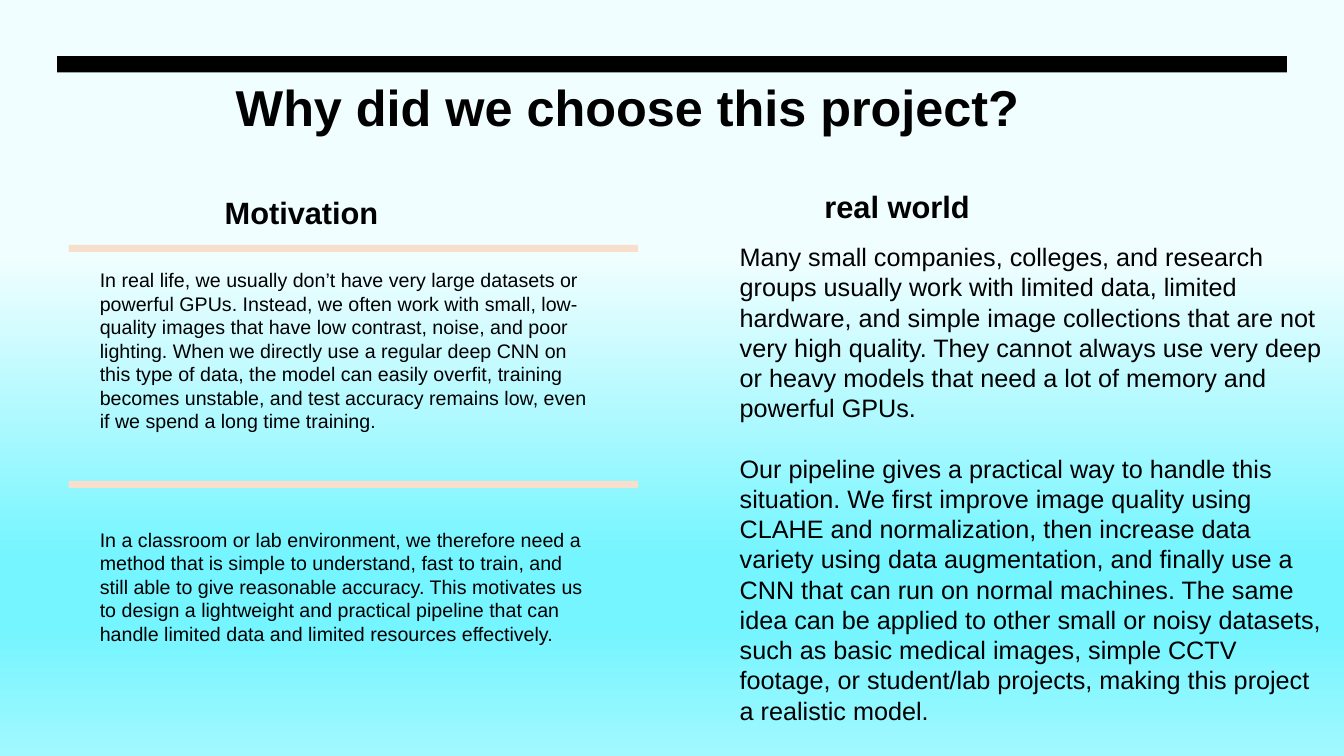
from dataclasses import dataclass

from lxml import etree
from pptx import Presentation
from pptx.dml.color import RGBColor
from pptx.enum.shapes import MSO_SHAPE
from pptx.enum.text import MSO_ANCHOR
from pptx.oxml.ns import qn
from pptx.util import Pt

RECTANGLE = MSO_SHAPE.RECTANGLE
ROUNDED = MSO_SHAPE.ROUNDED_RECTANGLE
TOP, MIDDLE, BOTTOM = MSO_ANCHOR.TOP, MSO_ANCHOR.MIDDLE, MSO_ANCHOR.BOTTOM


@dataclass(frozen=True)
class Theme:
    font: str = "Arial"
    ink: str = "000000"
    rule: str = "F7DFCC"
    background: tuple = ((34, "F0FEFF"), (74, "74F5FF"), (83, "74F5FF"), (100, "A2F8FF"))
    title: int = 36
    heading: int = 22
    body: int = 18
    small: int = 14


THEME = Theme()

MOTIVATION = (
    "In real life, we usually don’t have very large datasets or powerful GPUs. "
    "Instead, we often work with small, low-quality images that have low contrast, "
    "noise, and poor lighting. When we directly use a regular deep CNN on this type "
    "of data, the model can easily overfit, training becomes unstable, and test "
    "accuracy remains low, even if we spend a long time training.",
    "In a classroom or lab environment, we therefore need a method that is simple to "
    "understand, fast to train, and still able to give reasonable accuracy. This "
    "motivates us to design a lightweight and practical pipeline that can handle "
    "limited data and limited resources effectively.",
)
REAL_WORLD = (
    "Many small companies, colleges, and research groups usually work with limited "
    "data, limited hardware, and simple image collections that are not very high "
    "quality. They cannot always use very deep or heavy models that need a lot of "
    "memory and powerful GPUs.",
    "Our pipeline gives a practical way to handle this situation. We first improve "
    "image quality using CLAHE and normalization, then increase data variety using "
    "data augmentation, and finally use a CNN that can run on normal machines. The "
    "same idea can be applied to other small or noisy datasets, such as basic medical "
    "images, simple CCTV footage, or student/lab projects, making this project a "
    "realistic model.",
)


def set_background(slide):
    """Fill the slide with the theme's gradient, running from top to bottom."""
    fill = slide.background.fill
    fill.gradient()
    gradient = slide.background._cSld.find(".//" + qn("a:gradFill"))
    for child in list(gradient):
        gradient.remove(child)
    stops = etree.SubElement(gradient, qn("a:gsLst"))
    for percent, color in THEME.background:
        stop = etree.SubElement(stops, qn("a:gs"), pos=str(percent * 1000))
        etree.SubElement(stop, qn("a:srgbClr"), val=color)
    etree.SubElement(gradient, qn("a:lin"), ang=str(90 * 60000), scaled="0")


def add_bar(slide, kind, left, top, width, height, color):
    shape = slide.shapes.add_shape(kind, Pt(left), Pt(top), Pt(width), Pt(height))
    shape.shadow.inherit = False
    shape.fill.solid()
    shape.fill.fore_color.rgb = RGBColor.from_string(color)
    shape.line.fill.background()
    return shape


def add_text(slide, paragraphs, left, top, width, height, *, size, bold=False,
             anchor=MIDDLE, inset=None, line_spacing=1.0, gap=0):
    """Add a text box; gap is the space in points between its paragraphs."""
    box = slide.shapes.add_textbox(Pt(left), Pt(top), Pt(width), Pt(height))
    frame = box.text_frame
    frame.word_wrap = True
    frame.vertical_anchor = anchor
    if inset is not None:
        frame.margin_left = frame.margin_right = Pt(inset)
        frame.margin_top = frame.margin_bottom = Pt(inset)
    for index, text in enumerate(paragraphs):
        paragraph = frame.add_paragraph() if index else frame.paragraphs[0]
        paragraph.line_spacing = line_spacing
        paragraph.space_before = Pt(gap if index else 0)
        run = paragraph.add_run()
        run.text = text
        run.font.name = THEME.font
        run.font.size = Pt(size)
        run.font.bold = bold
        run.font.color.rgb = RGBColor.from_string(THEME.ink)


def add_heading(slide, text, left, top, height):
    add_text(slide, [text], left, top, 406.8, height, size=THEME.heading,
             bold=True, anchor=BOTTOM, line_spacing=1.1)


def add_motivation(slide, text, top):
    """Add a coloured rule with its paragraph below."""
    rule = add_bar(slide, ROUNDED, 49, top, 406.8, 5, THEME.rule)
    rule.adjustments[0] = 0.1
    add_text(slide, [text], 55.4, top, 380.2, 150.5, size=THEME.small, inset=15.9)


def main():
    presentation = Presentation()
    presentation.slide_width, presentation.slide_height = Pt(960), Pt(540)
    slide = presentation.slides.add_slide(presentation.slide_layouts[6])
    set_background(slide)

    add_bar(slide, RECTANGLE, 40.8, 40.2, 878.4, 11.5, THEME.ink)
    add_text(slide, ["Why did we choose this project?"], 161.3, 51.1, 879.1, 61.2,
             size=THEME.title, bold=True, anchor=TOP)
    add_heading(slide, "Motivation", 153.4, 128.2, 40.3)
    add_heading(slide, "real world", 581.8, 112.3, 51.8)
    for index, text in enumerate(MOTIVATION):
        add_motivation(slide, text, 175 + 168.5 * index)
    add_text(slide, REAL_WORLD, 521.3, 167, 429.8, 356.4, size=THEME.body, gap=21.6)

    presentation.save("out.pptx")


if __name__ == "__main__":
    main()
